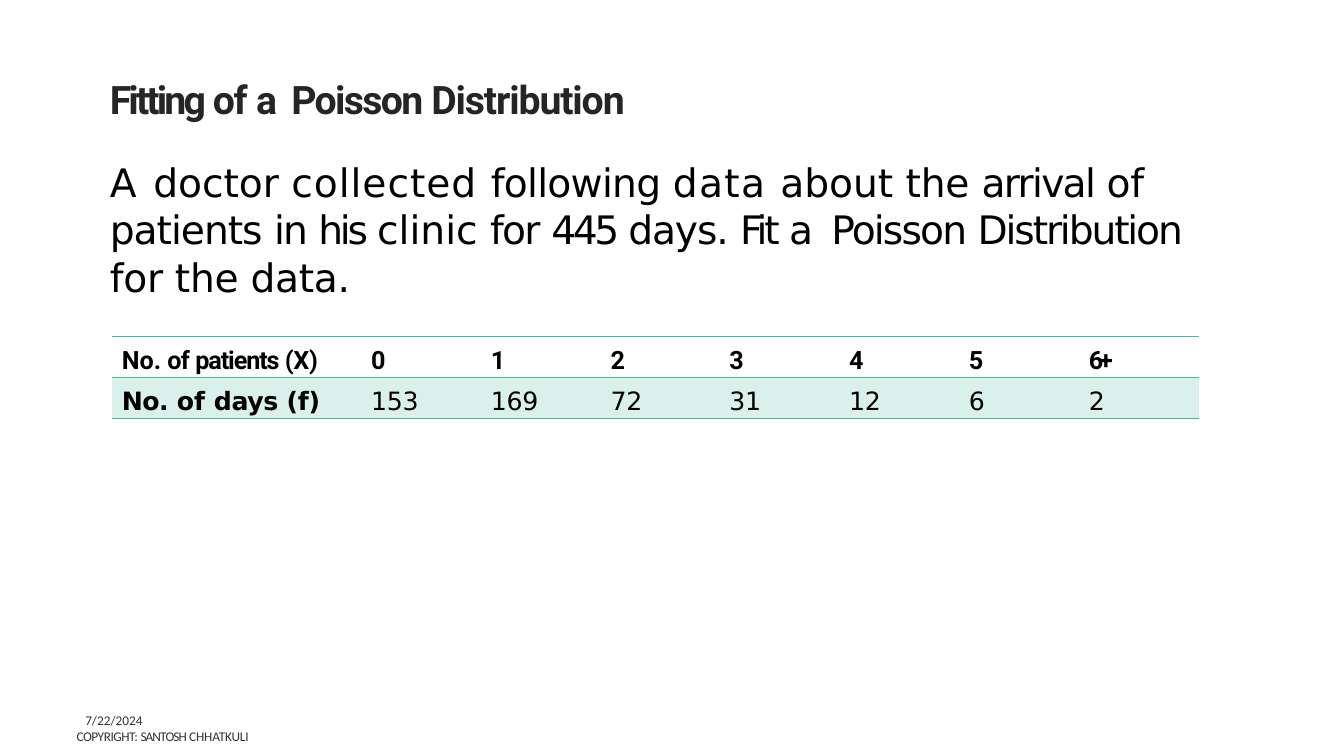
import pptx
import pptx.dml.color
import pptx.enum.text
import pptx.oxml
import pptx.oxml.ns
import pptx.util

Cm, Pt = pptx.util.Cm, pptx.util.Pt
RGB = pptx.dml.color.RGBColor
MIDDLE = pptx.enum.text.MSO_ANCHOR.MIDDLE

HEADING_INK = RGB(0x25, 0x25, 0x25)
BLACK = RGB(0, 0, 0)
FOOTER_INK = RGB(0x33, 0x33, 0x33)
GREEN = RGB(0x42, 0xB9, 0x96)
PALE_GREEN = RGB(0xD9, 0xF1, 0xEA)

HEADING = [("Fitting ", -2), ("of ", -0.9), ("a ", 1.6), ("Poisson ", -1.2), ("Distribution", -0.8)]
PROBLEM = [
    ("A ", 1.5), ("doctor ", 0), ("collected ", 0.7), ("following ", -0.5), ("data ", 1),
    ("about ", 0), ("the ", -0.2), ("arrival ", -1.2), ("of ", -0.2), ("patients ", -0.7),
    ("in ", -1.4), ("his ", -2.3), ("clinic ", 0), ("for ", -1.2), ("445 ", -2.4),
    ("days. ", -0.8), ("Fit ", -2.2), ("a ", 2.1), ("Poisson ", -1.3),
    ("Distribution ", -1.5), ("for the data.", -0.2),
]
COPYRIGHT = [("COPYRIGHT: ", -0.3), ("SANTOSH ", -0.6), ("CHHATKULI", -0.1)]
DATE = [("7/22/2024", 0)]

PATIENTS = [[("No. ", 0), ("of ", -0.6), ("patients ", -0.8), ("(X)", -0.2)]]
PATIENTS += [[(count, 0)] for count in "012345"] + [[("6+", -3)]]
DAYS = [[("No. ", -0.4), ("of ", 0), ("days ", -0.3), ("(f)", -0.2)]]
DAYS += [[(days, -0.2)] for days in ("153", "169", "72", "31", "12")]
DAYS += [[(days, 0)] for days in ("6", "2")]
COLUMN_WIDTHS = [6.15, 2.41, 3.02, 2.84, 3.02, 3.02, 2.84, 4.09]
COLUMN_INDENTS = [0.25, 0.38, 0.99, 0.99, 1.14, 1.14, 1.14, 1.32]
ROW_HEIGHT = 1.03


def write(paragraph, pieces, font, size, color, bold=False):
    for words, spacing in pieces:
        run = paragraph.add_run()
        run.text = words
        run.font.name = font
        run.font.size = Pt(size)
        run.font.bold = bold
        run.font.color.rgb = color
        if spacing:
            run.font._element.set("spc", str(round(spacing * 100)))


def add_box(slide, left, top, width, height, margin_left, margin_top):
    frame = slide.shapes.add_textbox(Cm(left), Cm(top), Cm(width), Cm(height)).text_frame
    frame.word_wrap = True
    frame.margin_left, frame.margin_top = Cm(margin_left), Cm(margin_top)
    frame.margin_right = frame.margin_bottom = 0
    return frame


def set_borders(cell, lines):
    properties = cell._tc.get_or_add_tcPr()
    for position, side in enumerate("LRTB"):
        width = lines.get(side, 0)
        paint = f'<a:solidFill><a:srgbClr val="{GREEN}"/></a:solidFill>' if width else "<a:noFill/>"
        properties.insert(position, pptx.oxml.parse_xml(
            f'<a:ln{side} {pptx.oxml.ns.nsdecls("a")} w="{Pt(width)}">{paint}</a:ln{side}>'))


def add_frequency_table(slide):
    table = slide.shapes.add_table(
        2, len(COLUMN_WIDTHS), Cm(2.82), Cm(8.48), Cm(sum(COLUMN_WIDTHS)), Cm(2 * ROW_HEIGHT)).table
    table.first_row = table.horz_banding = False
    for column, width in zip(table.columns, COLUMN_WIDTHS):
        column.width = Cm(width)
    for r, (entries, font) in enumerate([(PATIENTS, "Roboto"), (DAYS, "DejaVu Sans")]):
        table.rows[r].height = Cm(ROW_HEIGHT)
        for c, pieces in enumerate(entries):
            cell = table.cell(r, c)
            cell.margin_left, cell.margin_top = Cm(COLUMN_INDENTS[c]), Cm(0.24)
            cell.margin_right = cell.margin_bottom = 0
            write(cell.text_frame.paragraphs[0], pieces, font, 18, BLACK, r == 0 or c == 0)
            if r == 0:
                cell.fill.background()
                set_borders(cell, {"T": 1, "B": 0.5})
            else:
                cell.fill.solid()
                cell.fill.fore_color.rgb = PALE_GREEN
                set_borders(cell, {"T": 0.5, "B": 1})


def main():
    deck = pptx.Presentation()
    deck.slide_width, deck.slide_height = Cm(33.87), Cm(19.05)
    slide = deck.slides.add_slide(deck.slide_layouts[6])

    statement = add_box(slide, 2.74, 1.83, 28.42, 5.74, 0.03, 0.06)
    write(statement.paragraphs[0], HEADING, "Roboto", 28, HEADING_INK, True)
    problem = statement.add_paragraph()
    problem.space_before = Pt(26.2)
    write(problem, PROBLEM, "DejaVu Sans", 28, BLACK)

    add_frequency_table(slide)

    for pieces, top, width, indent in [(COPYRIGHT, 18.21, 13.97, 0.03), (DATE, 17.81, 11.43, 0.25)]:
        footer = add_box(slide, 1.9, top, width, 0.64, indent, 0.03)
        footer.vertical_anchor = MIDDLE
        write(footer.paragraphs[0], pieces, "Calibri", 9.5, FOOTER_INK)

    deck.save("out.pptx")


if __name__ == "__main__":
    main()
